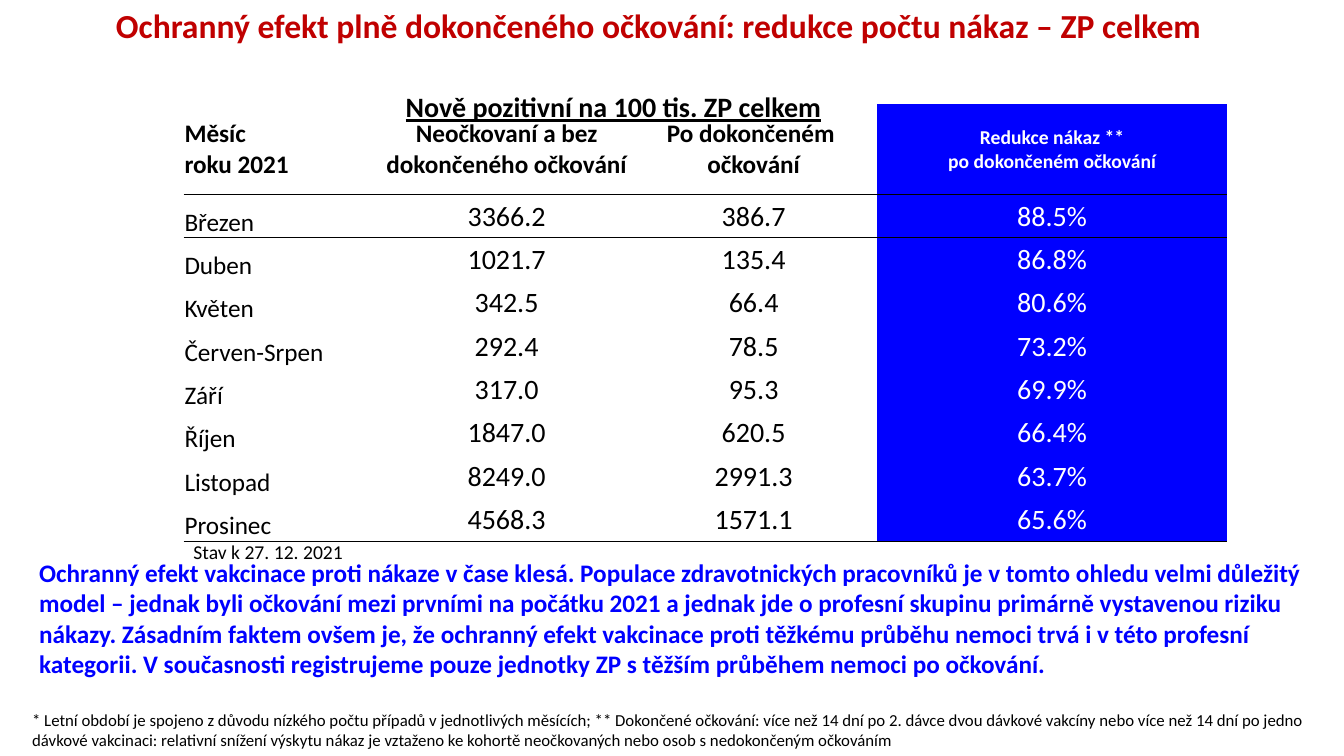
from lxml import etree
from pptx import Presentation
from pptx.dml.color import RGBColor
from pptx.enum.text import MSO_ANCHOR, PP_ALIGN
from pptx.oxml.ns import qn
from pptx.util import Pt

EMU_PER_PX = 9144
FONT = "Calibri"
BLACK = RGBColor(0x00, 0x00, 0x00)
WHITE = RGBColor(0xFF, 0xFF, 0xFF)
RED = RGBColor(0xC0, 0x00, 0x00)
BLUE = RGBColor(0x00, 0x00, 0xFF)
LEFT, CENTER = PP_ALIGN.LEFT, PP_ALIGN.CENTER
MIDDLE, BOTTOM = MSO_ANCHOR.MIDDLE, MSO_ANCHOR.BOTTOM
PLAIN_TABLE_STYLE = "{2D5ABB26-0587-4C30-8999-92F81FD0307C}"

COLUMN_WIDTHS = [198, 245, 245, 347]
ROW_HEIGHT, HEADER_HEIGHT = 43, 90
HEADERS = [
    "Měsíc\nroku 2021",
    "Neočkovaní a bez dokončeného očkování",
    "Po dokončeném \nočkování",
    "Redukce nákaz **\npo dokončeném očkování",
]
MONTHS = [
    ("Březen", "3366.2", "386.7", "88.5%"),
    ("Duben", "1021.7", "135.4", "86.8%"),
    ("Květen", "342.5", "66.4", "80.6%"),
    ("Červen-Srpen", "292.4", "78.5", "73.2%"),
    ("Září", "317.0", "95.3", "69.9%"),
    ("Říjen", "1847.0", "620.5", "66.4%"),
    ("Listopad", "8249.0", "2991.3", "63.7%"),
    ("Prosinec", "4568.3", "1571.1", "65.6%"),
]
TITLE = "Ochranný efekt plně dokončeného očkování: redukce počtu nákaz – ZP celkem "
SUBTITLE = "Nově pozitivní na 100 tis. ZP celkem"
STATUS_DATE = "Stav k 27. 12. 2021"
CONCLUSION = (
    "Ochranný efekt vakcinace proti nákaze v čase klesá. Populace zdravotnických "
    "pracovníků je v tomto ohledu velmi důležitý model – jednak byli očkování mezi "
    "prvními na počátku 2021 a jednak jde o profesní skupinu primárně vystavenou "
    "riziku nákazy. Zásadním faktem ovšem je, že ochranný efekt vakcinace proti "
    "těžkému průběhu nemoci trvá i v této profesní kategorii. V současnosti "
    "registrujeme pouze jednotky ZP s těžším průběhem nemoci po očkování."
)
FOOTNOTE = (
    "* Letní období je spojeno z důvodu nízkého počtu případů v jednotlivých měsících; "
    "** Dokončené očkování: více než 14 dní po 2. dávce dvou dávkové vakcíny nebo více "
    "než 14 dní po jedno dávkové vakcinaci: relativní snížení výskytu nákaz je vztaženo "
    "ke kohortě neočkovaných nebo osob s nedokončeným očkováním"
)


def px(length):
    return length * EMU_PER_PX


def write(frame, text, size, color, bold=False, align=LEFT, underline=False):
    frame.text = text
    for paragraph in frame.paragraphs:
        paragraph.alignment = align
        for run in paragraph.runs:
            run.font.name = FONT
            run.font.size = Pt(size)
            run.font.bold = bold
            run.font.underline = underline
            run.font.color.rgb = color


def add_text(slide, box, text, size, color, **style):
    frame = slide.shapes.add_textbox(*map(px, box)).text_frame
    frame.word_wrap = True
    write(frame, text, size, color, **style)
    return frame


def add_rule(cell, side):
    line = etree.Element(qn(f"a:{side}"), w=str(Pt(1)))
    fill = etree.SubElement(line, qn("a:solidFill"))
    etree.SubElement(fill, qn("a:srgbClr"), val=str(BLACK))
    cell._tc.get_or_add_tcPr().insert(0, line)


def fill_cell(cell, text, column, is_header):
    cell.margin_left = cell.margin_right = cell.margin_top = px(1)
    cell.margin_bottom = 0
    is_month = column == 0
    is_reduction = column == 3
    if is_header:
        size = 14 if is_reduction else 18
    else:
        size = 18 if is_month else 20
    cell.vertical_anchor = BOTTOM if is_month and not is_header else MIDDLE
    write(cell.text_frame, text, size, WHITE if is_reduction else BLACK,
          bold=is_header, align=LEFT if is_month else CENTER)
    if is_reduction:
        cell.fill.solid()
        cell.fill.fore_color.rgb = BLUE


def add_infection_table(slide):
    heights = [ROW_HEIGHT, HEADER_HEIGHT] + [ROW_HEIGHT] * len(MONTHS)
    table = slide.shapes.add_table(
        len(heights), len(COLUMN_WIDTHS), px(182), px(60),
        px(sum(COLUMN_WIDTHS)), px(sum(heights))).table
    table.first_row = table.horz_banding = False
    table._tbl.tblPr.find(qn("a:tableStyleId")).text = PLAIN_TABLE_STYLE
    for column, width in zip(table.columns, COLUMN_WIDTHS):
        column.width = px(width)
    for row, height in zip(table.rows, heights):
        row.height = px(height)
    for cell in table.iter_cells():
        cell.fill.background()
    table.cell(0, 2).merge(table.cell(0, 3))
    last_row = len(heights) - 1
    for row, texts in enumerate([HEADERS, *MONTHS], start=1):
        for column, text in enumerate(texts):
            cell = table.cell(row, column)
            fill_cell(cell, text, column, row == 1)
            if row in (1, last_row):
                add_rule(cell, "lnB")
            if row == 2:
                add_rule(cell, "lnT")


def main():
    presentation = Presentation()
    presentation.slide_width = px(1333)
    presentation.slide_height = px(750)
    slide = presentation.slides.add_slide(presentation.slide_layouts[6])

    title = add_text(slide, (22, 4, 1270, 145), TITLE, 24, RED, bold=True, align=CENTER)
    title.paragraphs[0].line_spacing = 0.9
    add_text(slide, (387, 84, 443, 44), SUBTITLE, 20, BLACK,
             bold=True, align=CENTER, underline=True)
    add_text(slide, (22, 699, 1299, 50), FOOTNOTE, 12, BLACK)
    add_infection_table(slide)
    add_text(slide, (182, 531, 221, 34), STATUS_DATE, 14, BLACK)
    add_text(slide, (29, 548, 1287, 131), CONCLUSION, 18, BLUE, bold=True)

    presentation.save("out.pptx")


if __name__ == "__main__":
    main()
